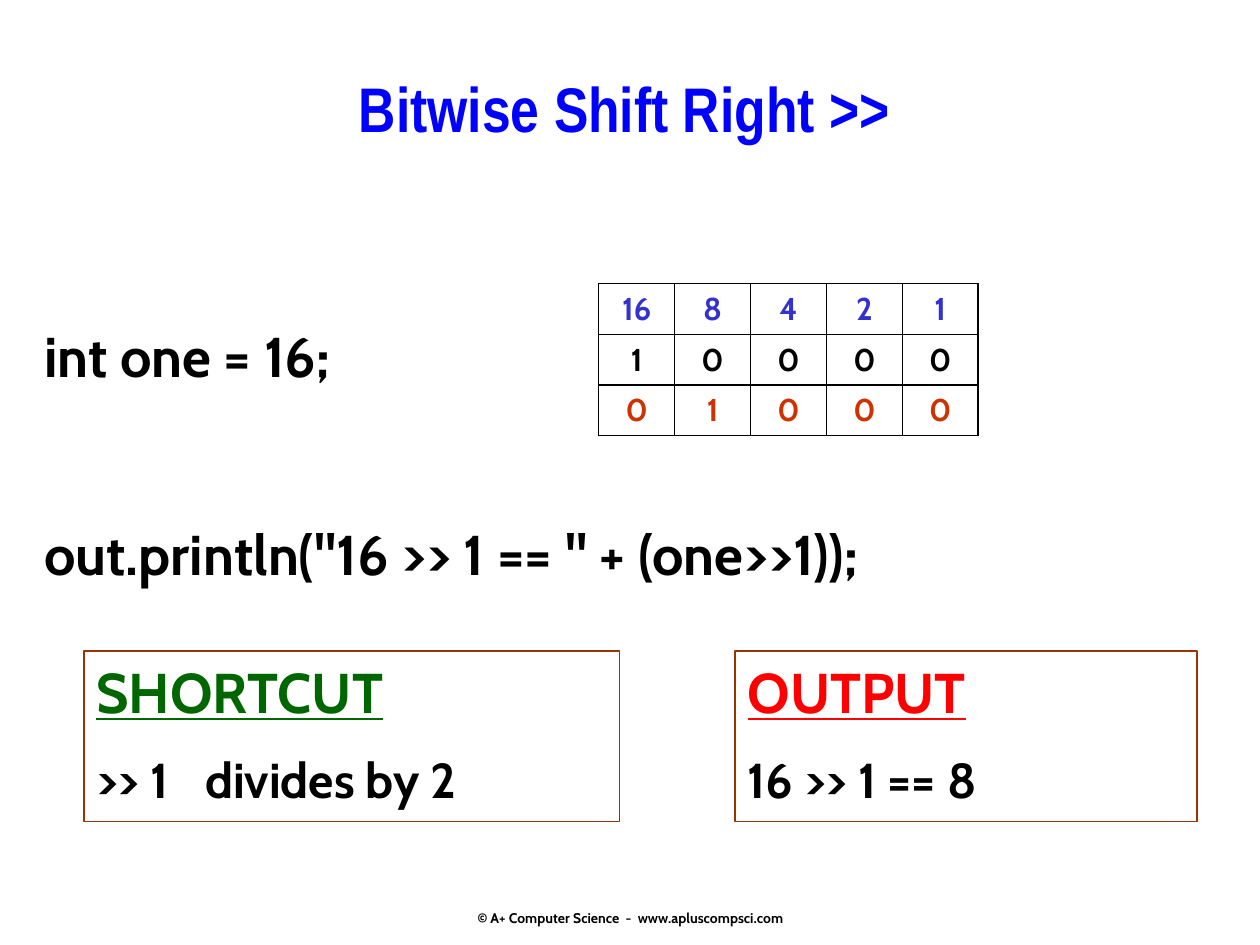
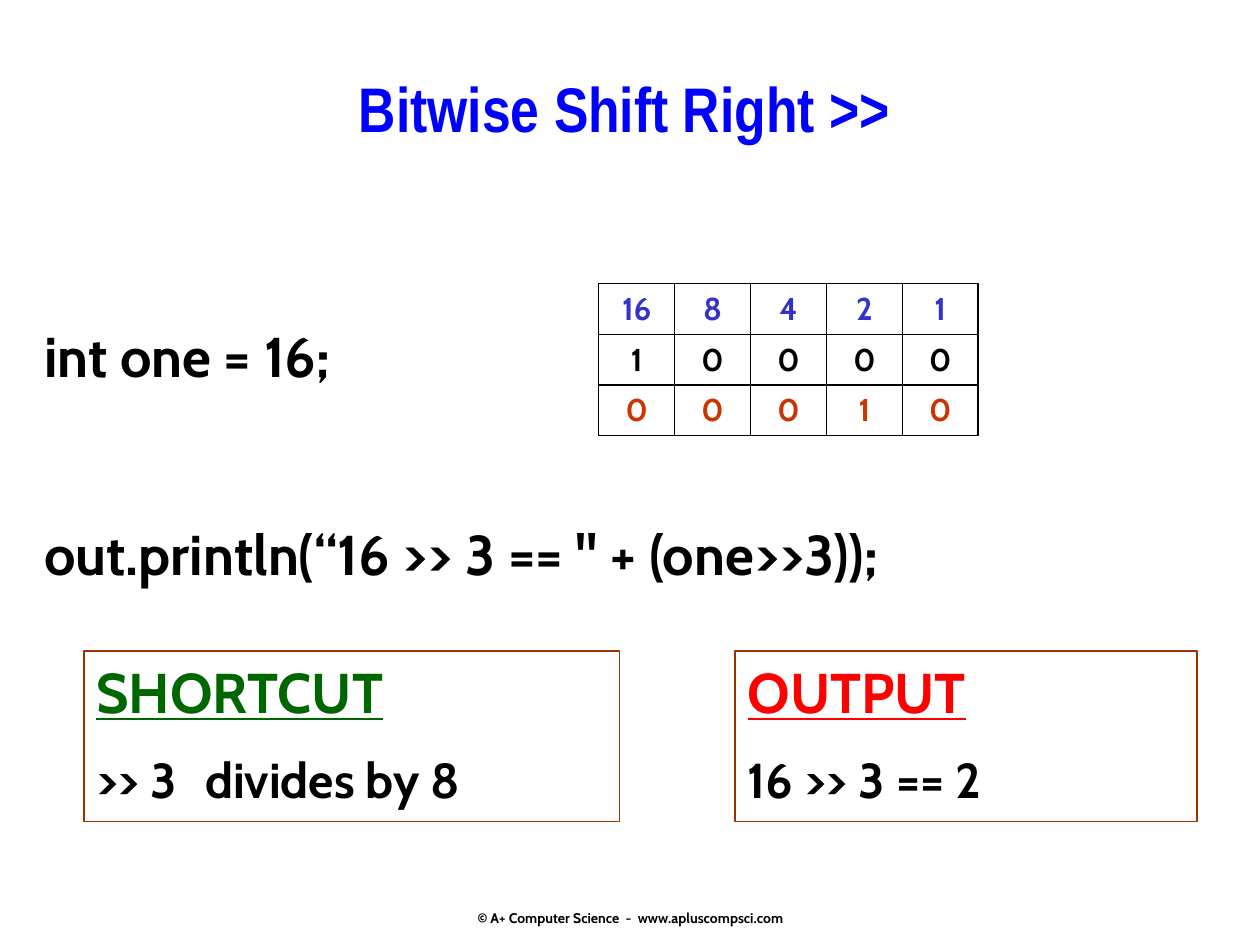
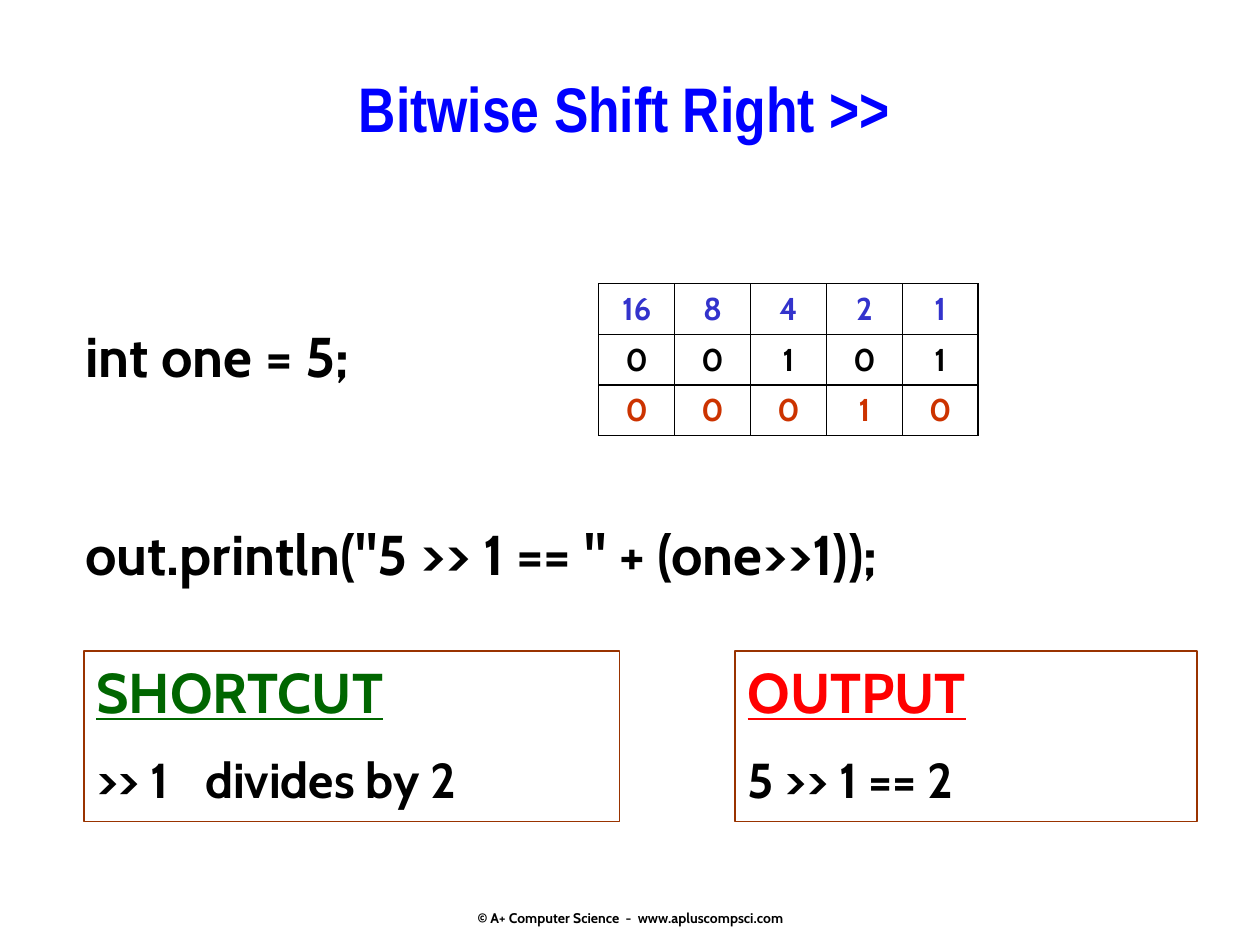
from pptx import Presentation
from pptx.dml.color import RGBColor
from pptx.enum.shapes import MSO_SHAPE
from pptx.enum.text import MSO_ANCHOR, PP_ALIGN
from pptx.oxml import parse_xml
from pptx.oxml.ns import nsdecls
from pptx.util import Cm, Pt

TITLE = "Bitwise Shift Right >>"
FOOTER = "© A+ Computer Science  -  www.apluscompsci.com"

# One example per slide: the number, the shift, the opening quote and the code's left edge
EXAMPLES = [
    dict(value=16, shift=1, quote='"', left=0.64),
    dict(value=16, shift=3, quote="“", left=0.64),
    dict(value=5, shift=1, quote='"', left=1.47),
]

BITS = 5
BLACK, BLUE, BROWN = "000000", "0000FF", "993300"
GREEN, RED = "006600", "FF0000"
ROW_COLOURS = ["3333CC", BLACK, "CC3300"]
FONT, TITLE_FONT = "Cabin", "Arial Narrow"

COL_W, ROW_H = 1.53, 1.02
PANEL_TOP, PANEL_H = 13.13, 3.43
TAB = 2.2


def colour(code):
    return RGBColor.from_string(code)


def style(p, size, code=BLACK, font=FONT, underline=False):
    for r in p.runs:
        r.font.name, r.font.size, r.font.bold = font, Pt(size), True
        r.font.color.rgb = colour(code)
        r.font.underline = underline


def add_lines(tf, lines):
    """Fill a frame with one paragraph per line and return the paragraphs."""
    tf.word_wrap = True
    tf.text = "\n".join(lines)
    return tf.paragraphs


def add_text(slide, left, top, width, height, *lines):
    s = slide.shapes.add_textbox(Cm(left), Cm(top), Cm(width), Cm(height))
    return s.text_frame, add_lines(s.text_frame, lines)


def add_footer(slide):
    tf, (p,) = add_text(slide, 8.69, 17.35, 8.05, 1.32, FOOTER)
    tf.vertical_anchor = MSO_ANCHOR.BOTTOM
    tf.margin_bottom = 0
    p.alignment = PP_ALIGN.CENTER
    style(p, 8)


def add_title(slide):
    _, (p,) = add_text(slide, 2.11, 1.27, 20.96, 2.54, TITLE)
    p.alignment = PP_ALIGN.CENTER
    style(p, 36, BLUE, TITLE_FONT)


def add_code(slide, left, declaration, statement):
    _, paragraphs = add_text(slide, left, 6.35, 24.13, 5.74, declaration, statement)
    for p in paragraphs:
        style(p, 32)
    paragraphs[1].space_before = Pt(75)


def add_panel(slide, left, width, heading, code, line):
    s = slide.shapes.add_shape(MSO_SHAPE.RECTANGLE, Cm(left), Cm(PANEL_TOP),
                               Cm(width), Cm(PANEL_H))
    s.shadow.inherit = False
    s.fill.background()
    s.line.color.rgb = colour(BROWN)
    s.line.width = Pt(1)
    s.text_frame.vertical_anchor = MSO_ANCHOR.TOP
    head, body = add_lines(s.text_frame, [heading, line])
    head.alignment = body.alignment = PP_ALIGN.LEFT
    style(head, 32, code, underline=True)
    style(body, 28)
    body.space_before = Pt(14)
    if "\t" in line:
        body._p.get_or_add_pPr().append(parse_xml(
            f'<a:tabLst {nsdecls("a")}><a:tab pos="{Cm(TAB)}" algn="l"/></a:tabLst>'))


def add_borders(cell):
    tcPr = cell._tc.get_or_add_tcPr()
    for i, side in enumerate(("lnL", "lnR", "lnT", "lnB")):
        tcPr.insert(i, parse_xml(
            f'<a:{side} {nsdecls("a")} w="{Pt(1)}"><a:solidFill>'
            f'<a:srgbClr val="{BLACK}"/></a:solidFill></a:{side}>'))


def add_bit_table(slide, rows):
    table = slide.shapes.add_table(len(rows), BITS, Cm(12.07), Cm(5.72),
                                   Cm(COL_W * BITS), Cm(ROW_H * len(rows))).table
    table.first_row = table.horz_banding = False
    for y, (row, code) in enumerate(zip(rows, ROW_COLOURS)):
        for x, value in enumerate(row):
            cell = table.cell(y, x)
            cell.fill.background()
            add_borders(cell)
            cell.text_frame.text = str(value)
            p = cell.text_frame.paragraphs[0]
            p.alignment = PP_ALIGN.CENTER
            style(p, 18, code)


def add_example(prs, value, shift, quote, left):
    slide = prs.slides.add_slide(prs.slide_layouts[6])
    result = value >> shift
    operation = f"{value} >> {shift} == "
    add_footer(slide)
    add_title(slide)
    add_code(slide, left, f"int one = {value};",
             f'out.println({quote}{operation}" + (one>>{shift}));')
    add_panel(slide, 14.82, 9.31, "OUTPUT", RED, f"{operation}{result}")
    add_panel(slide, 1.69, 10.8, "SHORTCUT", GREEN,
              f">> {shift}\tdivides by {2 ** shift}")
    places = [2 ** i for i in reversed(range(BITS))]
    add_bit_table(slide, [places, f"{value:0{BITS}b}", f"{result:0{BITS}b}"])


def main():
    prs = Presentation()
    prs.slide_width, prs.slide_height = Cm(25.4), Cm(19.05)
    for example in EXAMPLES:
        add_example(prs, **example)
    prs.save("out.pptx")


if __name__ == "__main__":
    main()
